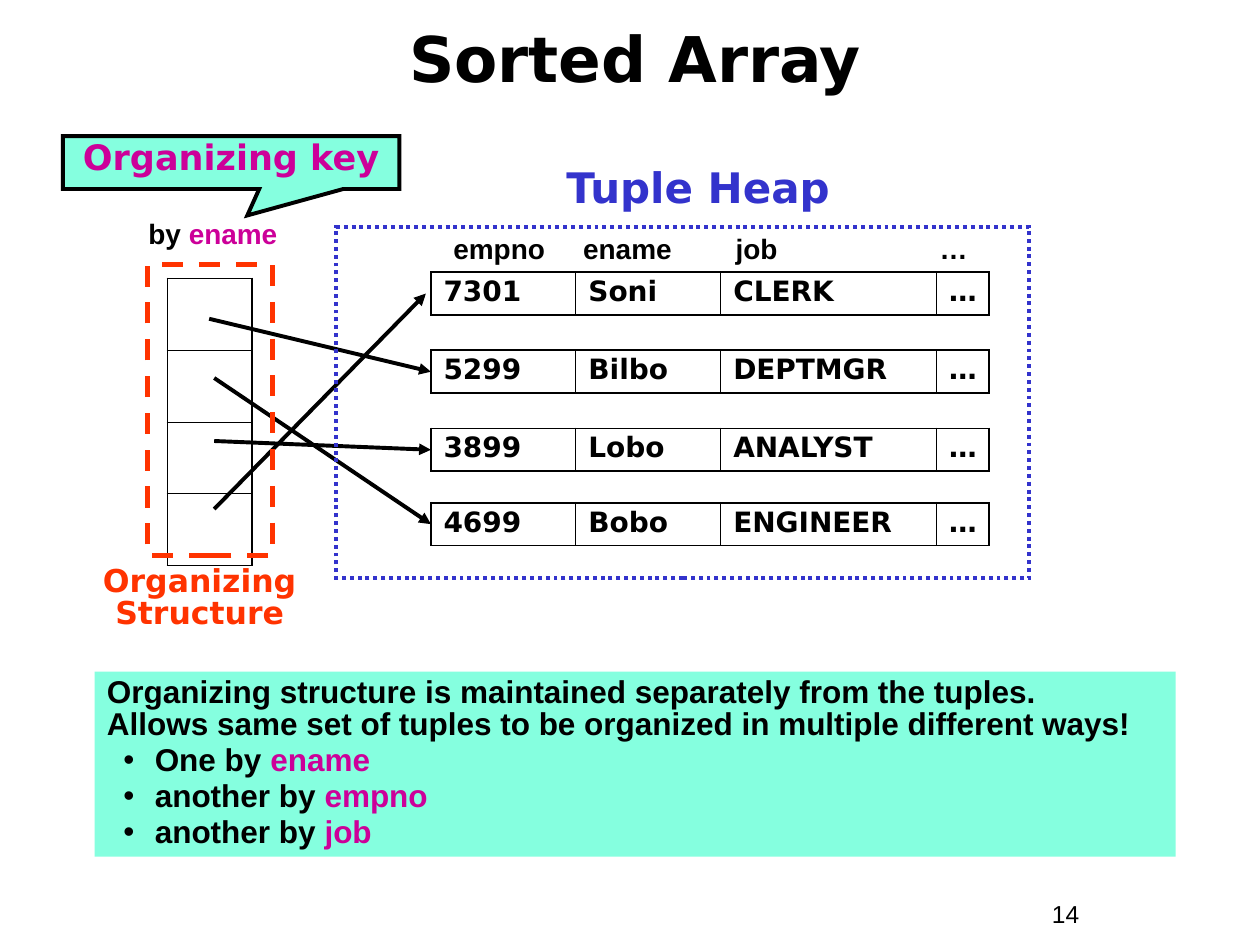
from lxml import etree
from pptx import Presentation
from pptx.dml.color import RGBColor
from pptx.enum import dml, shapes, text
from pptx.oxml import ns
from pptx.util import Inches, Pt

COLORS = {
    "black": "000000",
    "magenta": "CC0099",
    "mint": "85FFDF",
    "orange": "FF3300",
    "blue": "3333CC",
}
RGB = {name: RGBColor.from_string(value) for name, value in COLORS.items()}
SANS, ARIAL = "DejaVu Sans", "Arial"
LEFT, CENTER = text.PP_ALIGN.LEFT, text.PP_ALIGN.CENTER


def write(paragraph, runs, size, face=SANS, color="black", bold=True,
          align=LEFT, spacing=None):
    for content, run_color in runs:
        for index, line in enumerate(content.split("\n")):
            if index:
                paragraph.add_line_break()
            run = paragraph.add_run()
            run.text = line
            if run_color:
                run.font.color.rgb = RGB[run_color]
    paragraph.alignment = align
    if spacing:
        paragraph.line_spacing = spacing
    font = paragraph.font
    font.name, font.size, font.bold = face, Pt(size), bold
    font.color.rgb = RGB[color]


def add_grid(left, top, widths, heights):
    table = slide.shapes.add_table(
        len(heights), len(widths), Inches(left), Inches(top),
        Inches(sum(widths)), Inches(sum(heights))).table
    table.first_row = table.horz_banding = False
    for column, width in zip(table.columns, widths):
        column.width = Inches(width)
    for r, height in enumerate(heights):
        table.rows[r].height = Inches(height)
        for c in range(len(widths)):
            cell = table.cell(r, c)
            outer = {"L": c == 0, "R": c == len(widths) - 1,
                     "T": r == 0, "B": r == len(heights) - 1}
            properties = cell._tc.get_or_add_tcPr()
            for side, is_outer in outer.items():
                border = etree.SubElement(properties, ns.qn(f"a:ln{side}"),
                                          w=str(Pt(1.08 if is_outer else 0.45)))
                fill = etree.SubElement(border, ns.qn("a:solidFill"))
                etree.SubElement(fill, ns.qn("a:srgbClr"), val=COLORS["black"])
            cell.fill.background()
    return table


prs = Presentation()
prs.slide_width, prs.slide_height = Inches(10), Inches(7.5)
slide = prs.slides.add_slide(prs.slide_layouts[6])

labels = [
    ((8.25, 7.08, 0.92, 0.34), [("14", None)],
     dict(size=14, face=ARIAL, bold=False)),
    ((1.25, 0.08, 7.58, 0.75), [("Sorted Array", None)],
     dict(size=36, align=CENTER)),
    ((1.08, 1.67, 1.33, 0.37), [("by ", None), ("ename", "magenta")],
     dict(size=16, face=ARIAL)),
    ((4.33, 1.23, 2.42, 0.5), [("Tuple Heap", None)],
     dict(size=24, color="blue", align=CENTER)),
    ((0.42, 4.45, 2.33, 0.61), [("Organizing\nStructure", None)],
     dict(size=18, color="orange", align=CENTER, spacing=0.85)),
]
for box, runs, style in labels:
    frame = slide.shapes.add_textbox(*map(Inches, box)).text_frame
    frame.word_wrap = True
    frame.vertical_anchor = text.MSO_ANCHOR.MIDDLE
    write(frame.paragraphs[0], runs, **style)

tuples = [
    (2.16, ("7301", "Soni", "CLERK", "…")),
    (2.78, ("5299", "Bilbo", "DEPTMGR", "…")),
    (3.4, ("3899", "Lobo", "ANALYST", "…")),
    (3.99, ("4699", "Bobo", "ENGINEER", "…")),
]
for top, values in tuples:
    tuple_row = add_grid(3.42, top, [1.15, 1.15, 1.71, 0.42], [0.34])
    for cell, value in zip(tuple_row.rows[0].cells, values):
        write(cell.text_frame.paragraphs[0], [(value, None)], 16, spacing=0.9)

headings = slide.shapes.add_textbox(
    Inches(3.5), Inches(1.79), Inches(4.75), Inches(0.37)).text_frame
headings.word_wrap = True
heading_line = headings.paragraphs[0]
tab_list = etree.SubElement(heading_line._p.get_or_add_pPr(), ns.qn("a:tabLst"))
for position in (1.03, 2.24, 3.86):
    etree.SubElement(tab_list, ns.qn("a:tab"), pos=str(Inches(position)), algn="l")
write(heading_line, [("empno\tename\tjob\t…", None)], 16, ARIAL)

add_grid(1.33, 2.21, [0.67], [0.57] * 4)

pointers = [
    (1.66, 2.53, 3.42, 2.95),
    (1.7, 4.04, 3.38, 2.33),
    (1.7, 3, 3.42, 4.16),
    (1.7, 3.5, 3.42, 3.57),
]
for ends in pointers:
    pointer = slide.shapes.add_connector(
        shapes.MSO_CONNECTOR.STRAIGHT, *map(Inches, ends))
    pointer.line.width = Pt(2.25)
    pointer.line.color.rgb = RGB["black"]
    etree.SubElement(pointer.line._get_or_add_ln(), ns.qn("a:tailEnd"), type="triangle")
    etree.SubElement(pointer._element.spPr, ns.qn("a:effectLst"))

RECT = shapes.MSO_SHAPE.RECTANGLE
panels = [
    (shapes.MSO_SHAPE.RECTANGULAR_CALLOUT, (0.5, 1.08, 2.67, 0.42), "mint", "black", 2.25, None),
    (RECT, (1.17, 2.1, 0.99, 2.31), None, "orange", 3, dml.MSO_LINE.DASH),
    (RECT, (2.67, 1.8, 5.5, 2.79), None, "blue", 2.25, dml.MSO_LINE.ROUND_DOT),
    (RECT, (0.75, 5.33, 8.58, 1.47), "mint", None, 0, None),
]
drawn = []
for preset, box, fill, line, width, dash in panels:
    panel = slide.shapes.add_shape(preset, *map(Inches, box))
    panel.shadow.inherit = False
    if fill:
        panel.fill.solid()
        panel.fill.fore_color.rgb = RGB[fill]
    else:
        panel.fill.background()
    if line:
        panel.line.color.rgb = RGB[line]
        panel.line.width = Pt(width)
        if dash:
            panel.line.dash_style = dash
        etree.SubElement(panel.line._get_or_add_ln(), ns.qn("a:miter"), lim="800000")
    else:
        panel.line.fill.background()
    panel.text_frame.word_wrap = True
    panel.text_frame.vertical_anchor = text.MSO_ANCHOR.TOP
    drawn.append(panel)
key_callout, structure_frame, heap_frame, summary = drawn

key_callout.adjustments[0] = 0.048
key_callout.adjustments[1] = 1
write(key_callout.text_frame.paragraphs[0], [("Organizing key", None)], 20,
      color="magenta", align=CENTER, spacing=0.85)

write(summary.text_frame.paragraphs[0],
      [("Organizing structure is maintained separately from the tuples.\n"
        "Allows same set of tuples to be organized in multiple different ways!", None)],
      18, ARIAL, spacing=0.85)
for lead, key in [("One by ", "ename"), ("another by ", "empno"), ("another by ", "job")]:
    item = summary.text_frame.add_paragraph()
    item.level = 1
    properties = item._p.get_or_add_pPr()
    properties.set("marL", str(Inches(0.38)))
    properties.set("indent", str(Inches(-0.25)))
    bullet_color = etree.SubElement(properties, ns.qn("a:buClr"))
    etree.SubElement(bullet_color, ns.qn("a:srgbClr"), val=COLORS["black"])
    etree.SubElement(properties, ns.qn("a:buFont"), typeface=ARIAL)
    etree.SubElement(properties, ns.qn("a:buChar"), char="•")
    item.space_before = Pt(2.2)
    write(item, [(lead, None), (key, "magenta")], 18, ARIAL, spacing=0.85)

prs.save("out.pptx")
